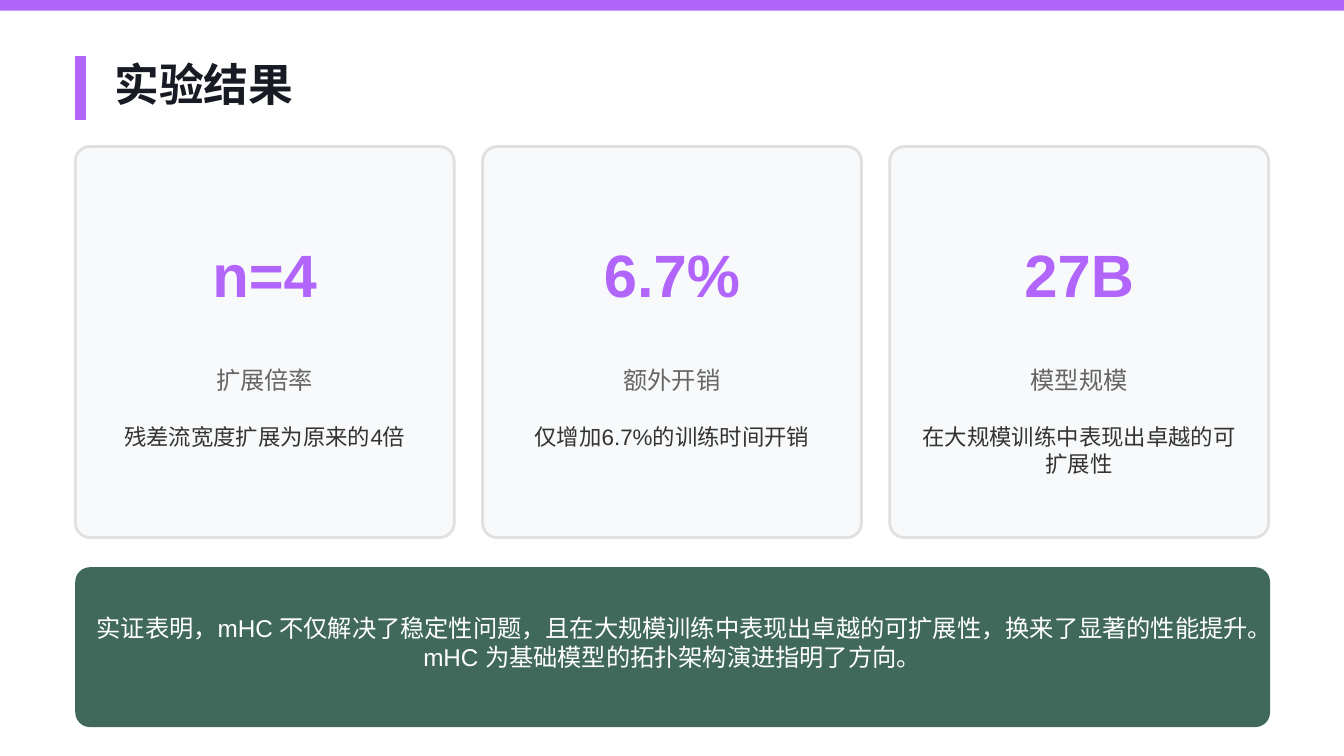
from pptx import Presentation
from pptx.dml.color import RGBColor
from pptx.enum import shapes, text
from pptx.oxml.ns import qn
from pptx.util import Inches, Pt
from lxml import etree

PURPLE = RGBColor(0xB1, 0x65, 0xFB)
INK = RGBColor(0x18, 0x1B, 0x24)
GRAY = RGBColor(0x66, 0x66, 0x66)
DARK = RGBColor(0x33, 0x33, 0x33)
PALE = RGBColor(0xF8, 0xF9, 0xFA)
BORDER = RGBColor(0xE0, 0xE0, 0xE0)
GREEN = RGBColor(0x40, 0x69, 0x5B)
WHITE = RGBColor(0xFF, 0xFF, 0xFF)

TITLE = "实验结果"
CARDS = [
    ("n=4", "扩展倍率", "残差流宽度扩展为原来的4倍"),
    ("6.7%", "额外开销", "仅增加6.7%的训练时间开销"),
    ("27B", "模型规模", "在大规模训练中表现出卓越的可扩展性"),
]
# top, line height, font size, colour, space before, space after, bold
CARD_ROWS = [
    (1.77, 0.51, 32, PURPLE, 32, 32, True),
    (2.72, 0.25, 13, GRAY, 13, 13, False),
    (3.15, 0.23, 12, DARK, 8, 12, False),
]
CONCLUSION = (
    "实证表明，mHC 不仅解决了稳定性问题，且在大规模训练中表现出卓越的可扩展性，"
    "换来了显著的性能提升。mHC 为基础模型的拓扑架构演进指明了方向。"
)

MARGIN, CARD_WIDTH, CARD_STEP = 0.56, 2.82, 3.03
TEXT_WIDTH = 2.41
CHARS_PER_LINE = 14
CORNER = 0.11


def place(shape, left, top, width, height):
    shape.left, shape.top = Inches(left), Inches(top)
    shape.width, shape.height = Inches(width), Inches(height)


def write(box, words, size, color, before=0, after=0, bold=False,
          align=text.PP_ALIGN.CENTER):
    frame = box.text_frame
    frame.word_wrap = True
    frame.auto_size = text.MSO_AUTO_SIZE.NONE
    frame.vertical_anchor = text.MSO_ANCHOR.TOP
    frame.margin_left = frame.margin_right = 0
    frame.margin_top = frame.margin_bottom = 0
    frame.text = words
    para = frame.paragraphs[0]
    para.alignment = align
    para.space_before, para.space_after = Pt(before), Pt(after)
    font = para.font
    font.name, font.size, font.bold = "Arial", Pt(size), bold
    font.color.rgb = color


def add_text(page, left, top, width, height, *style):
    box = page.shapes.add_textbox(0, 0, 0, 0)
    place(box, left, top, width, height)
    write(box, *style)


def add_panel(page, left, top, width, height, fill, border=None, rounded=True):
    kind = shapes.MSO_SHAPE.ROUNDED_RECTANGLE if rounded else shapes.MSO_SHAPE.RECTANGLE
    panel = page.shapes.add_shape(kind, 0, 0, 0, 0)
    place(panel, left, top, width, height)
    panel.shadow.inherit = False
    if rounded:
        panel.adjustments[0] = CORNER / min(width, height)
    panel.fill.solid()
    panel.fill.fore_color.rgb = fill
    if border is None:
        panel.line.fill.background()
    else:
        panel.line.color.rgb = border
        panel.line.width = Pt(1.5)


def main():
    deck = Presentation()
    deck.slide_width = Inches(10)
    deck.slide_height = deck.slide_width * 9 // 16
    page = deck.slides.add_slide(deck.slide_layouts[5])

    add_panel(page, 0, 0, 10, 0.08, PURPLE, rounded=False)

    accent = page.shapes.add_connector(
        shapes.MSO_CONNECTOR.STRAIGHT, Inches(0.6), Inches(0.42), Inches(0.6), Inches(0.89))
    accent.line.color.rgb = PURPLE
    accent.line.width = Pt(6)
    etree.SubElement(accent._element.spPr, qn("a:effectLst"))

    place(page.shapes.title, 0.85, 0.42, 8.77, 0.47)
    write(page.shapes.title, TITLE, 24, INK, bold=True, align=text.PP_ALIGN.LEFT)

    for column, card in enumerate(CARDS):
        left = MARGIN + column * CARD_STEP
        add_panel(page, left, 1.09, CARD_WIDTH, 2.91, PALE, BORDER)
        text_left = left + (CARD_WIDTH - TEXT_WIDTH) / 2
        for words, (top, line_height, *style) in zip(card, CARD_ROWS):
            lines = 2 if len(words) > CHARS_PER_LINE + 2 else 1
            add_text(page, text_left, top, TEXT_WIDTH, lines * line_height, words, *style)

    add_panel(page, MARGIN, 4.22, 8.89, 1.19, GREEN)
    add_text(page, 0.68, 4.56, 8.64, 0.5, CONCLUSION, 13, WHITE, 13, 13)

    deck.save("out.pptx")


if __name__ == "__main__":
    main()
